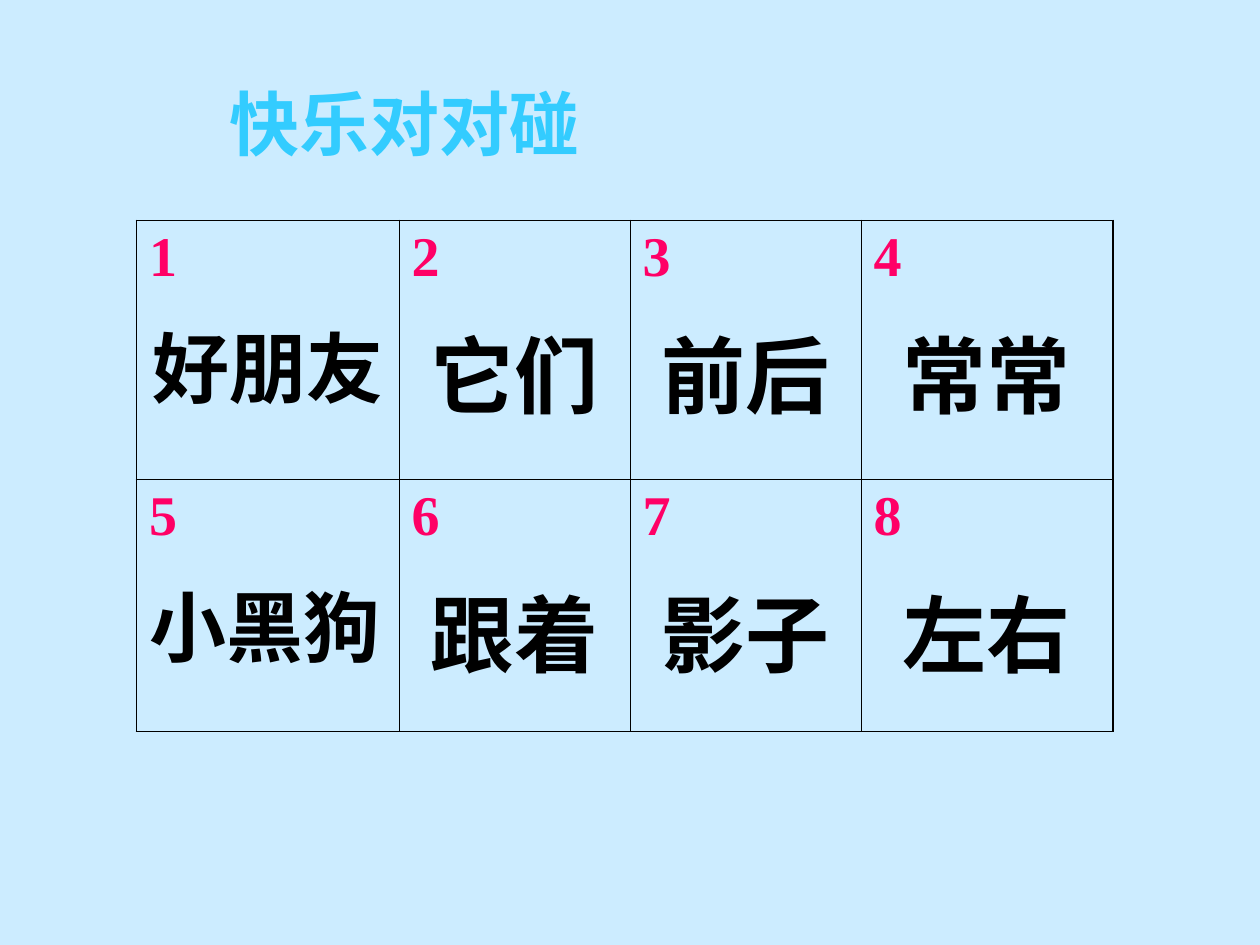
from lxml.etree import SubElement
from pptx import Presentation
from pptx.dml.color import RGBColor
from pptx.enum.text import MSO_ANCHOR, PP_ALIGN
from pptx.oxml.ns import qn
from pptx.util import Pt

COLORS = {"page": "CCECFF", "title": "33CCFF", "number": "FF0066", "ink": "000000"}
LATIN_FONT = "Times New Roman"
CHINESE_FONT = "Noto Sans CJK SC"
OUTER_LINE, INNER_LINE = 1.08, 0.45


class SlideBuilder:
    def __init__(self, deck):
        self.page = deck.slides.add_slide(deck.slide_layouts[6])
        fill = self.page.background.fill
        fill.solid()
        fill.fore_color.rgb = self.color("page")

    def color(self, name):
        return RGBColor.from_string(COLORS[name])

    def style(self, para, size, color, latin=LATIN_FONT):
        for span in para.runs:
            font = span.font
            font.name, font.size, font.bold = latin, Pt(size), True
            font.color.rgb = self.color(color)
            east_asian = SubElement(font._element, qn("a:ea"))
            east_asian.set("typeface", CHINESE_FONT)

    def title(self, text, left, top, width, height):
        box = self.page.shapes.add_textbox(Pt(left), Pt(top), Pt(width), Pt(height))
        frame = box.text_frame
        frame.text = text
        frame.word_wrap = False
        frame.vertical_anchor = MSO_ANCHOR.TOP
        para = frame.paragraphs[0]
        para.alignment = PP_ALIGN.CENTER
        para.line_spacing = 0.9
        self.style(para, 40, "title", CHINESE_FONT)

    def borders(self, cell, widths):
        properties = cell._tc.get_or_add_tcPr()
        for side, width in zip("LRTB", widths):
            line = SubElement(properties, qn(f"a:ln{side}"), w=str(Pt(width)))
            solid = SubElement(line, qn("a:solidFill"))
            SubElement(solid, qn("a:srgbClr"), val=COLORS["ink"])

    def word_cell(self, cell, number, word):
        cell.fill.background()
        frame = cell.text_frame
        frame.text = f"{number}\n{word}"
        number_para, word_para = frame.paragraphs
        self.style(number_para, 32, "number")
        # Three-character words are set smaller to fit the column
        long_word = len(word) > 2
        word_para.space_before = Pt(11 if long_word else 12)
        self.style(word_para, 44 if long_word else 48, "ink")
        word_para.alignment = PP_ALIGN.LEFT if word == "小黑狗" else PP_ALIGN.CENTER

    def word_table(self, words, left, top, widths, heights):
        frame = self.page.shapes.add_table(
            len(heights), len(widths), Pt(left), Pt(top), Pt(sum(widths)), Pt(sum(heights)))
        table = frame.table
        table.first_row = table.horz_banding = False
        for column, width in zip(table.columns, widths):
            column.width = Pt(width)
        for row, height in zip(table.rows, heights):
            row.height = Pt(height)
        last_row, last_column = len(heights) - 1, len(widths) - 1
        for index, word in enumerate(words):
            row, column = divmod(index, len(widths))
            cell = table.cell(row, column)
            on_edge = (column == 0, column == last_column, row == 0, row == last_row)
            self.borders(cell, [OUTER_LINE if edge else INNER_LINE for edge in on_edge])
            self.word_cell(cell, index + 1, word)


def main():
    deck = Presentation()
    deck.slide_width, deck.slide_height = Pt(720), Pt(540)
    builder = SlideBuilder(deck)

    # Numbered word grid
    words = ["好朋友", "它们", "前后", "常常", "小黑狗", "跟着", "影子", "左右"]
    builder.word_table(words, 78, 126, [150, 132, 132, 144], [148, 144])

    # Heading
    builder.title("快乐对对碰", 114, 48, 234, 46)

    deck.save("out.pptx")


if __name__ == "__main__":
    main()
